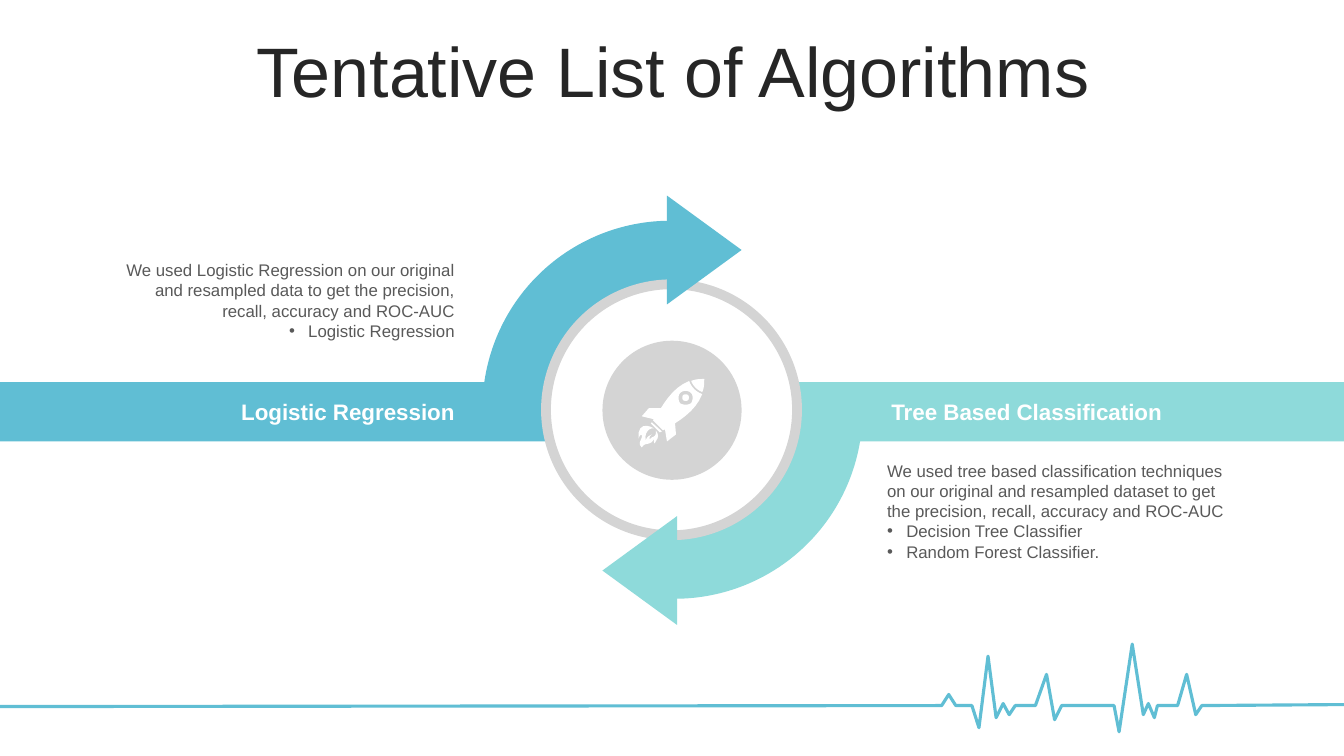
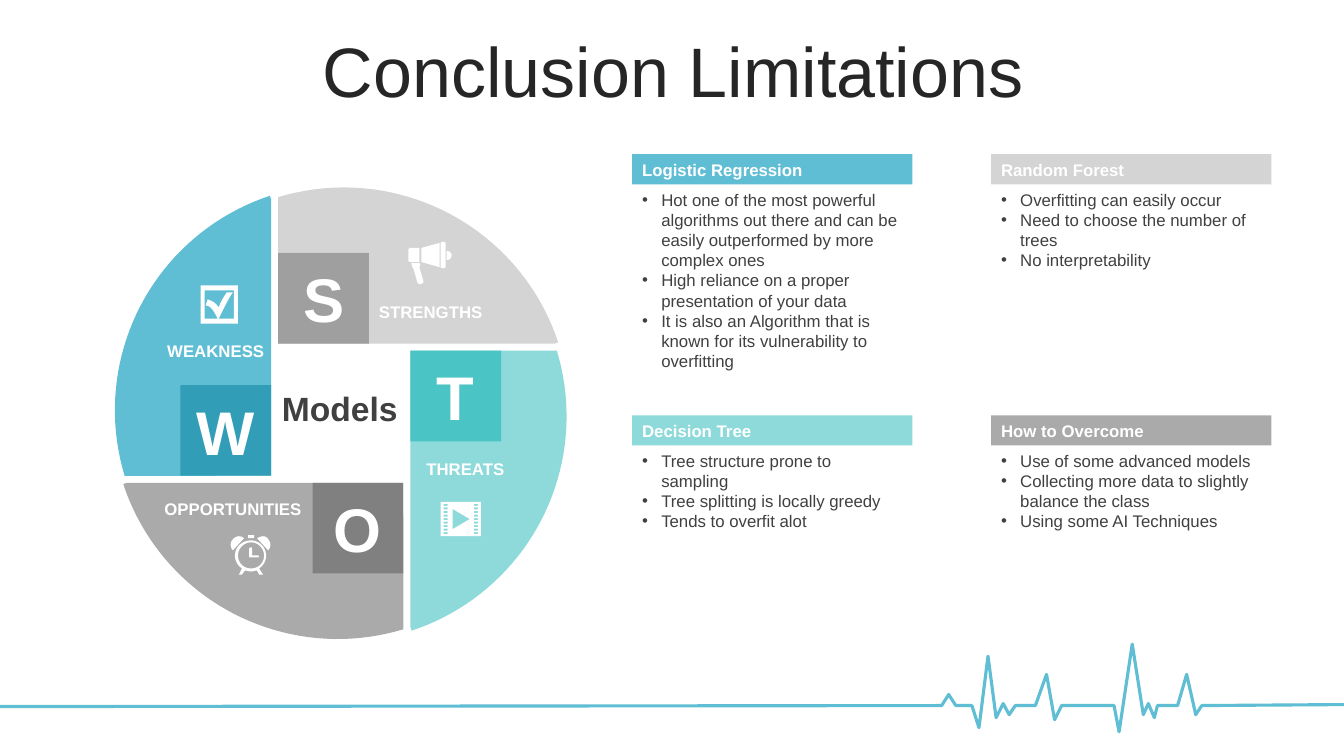
import math
from pptx import Presentation, util as u
from pptx.dml.color import RGBColor
from pptx.enum import shapes, text
from lxml import etree

FONT = "Arial"
BLUE, MINT, SILVER, GRAY = "60BED4", "8EDADA", "D4D4D4", "AAAAAA"
WHITE, INK, BODY, DARK = "FFFFFF", "262626", "595959", "404040"
LEFT, CENTER, RIGHT = text.PP_ALIGN.LEFT, text.PP_ALIGN.CENTER, text.PP_ALIGN.RIGHT
MSO = shapes.MSO_SHAPE
NS = "{http://schemas.openxmlformats.org/drawingml/2006/main}"
W, H = 13.33, 7.5

PULSE = [(13.33, 6.99), (11.92, 7), (11.86, 7.09), (11.77, 6.69), (11.68, 7),
         (11.48, 7), (11.45, 7.12), (11.39, 6.98), (11.34, 7.09), (11.23, 6.39),
         (11.1, 7.26), (11.05, 7), (10.53, 7), (10.46, 7.14), (10.38, 6.69),
         (10.27, 7), (10.07, 7), (10.01, 7.09), (9.95, 6.98), (9.88, 7.12),
         (9.8, 6.51), (9.71, 7.22), (9.64, 7), (9.48, 7), (9.41, 6.89),
         (9.34, 7), (0, 7.01)]

ROCKET = """M 17 49 C 13 48 7 53 9 61 C 10 57 13 56 15 55 C 14 56 12 57 13 60
C 15 56 20 59 19 51 C 24 58 19 60 18 64 C 16 63 18 59 17 60 C 13 67 8 62 5 68
C 0 63 6 60 5 56 C 5 55 3 55 2 59 C 0 44 11 45 17 49
M 15 43 L 25 52 L 23 53 L 14 44
M 51 16 C 52 17 52 20 51 21 C 50 22 47 22 46 21 C 45 20 45 17 46 16 C 47 15 50 15 51 16
M 54 14 C 51 11 46 11 43 14 C 41 16 41 21 43 24 C 46 26 51 26 54 24 C 56 21 56 16 54 14
M 52 2 C 54 8 59 13 65 15 C 60 28 49 37 38 44 L 39 55 L 30 62 L 28 50 L 26 51
L 16 41 L 17 40 L 5 37 L 12 29 L 24 29 C 30 19 39 7 52 2
M 67 0 C 67 4 67 9 65 13 C 60 11 56 7 54 2 C 58 0 63 0 67 0"""

CLOCK = """M 20 12 C 21 12 21 13 21 14 L 21 20 L 27 20 C 28 20 28 22 27 22 L 20 22
C 19 22 18 22 18 21 L 18 14 C 18 13 19 12 20 12
M 20 7 C 13 7 7 13 7 20 C 7 28 13 33 20 33 C 27 33 33 28 33 20 C 33 13 27 7 20 7
M 20 5 C 28 5 35 12 35 20 C 35 26 32 30 28 33 L 32 39 L 28 39 L 26 35
C 24 35 22 36 20 36 C 18 36 16 35 14 35 L 11 39 L 8 39 L 11 33
C 7 30 4 26 4 20 C 4 12 11 5 20 5
M 8 1 C 10 1 12 2 13 3 L 2 15 C -1 12 -1 7 2 4 C 4 2 6 1 8 1
M 32 1 C 34 1 36 2 37 4 C 40 7 40 12 37 15 L 26 3 C 28 2 30 1 32 1
M 17 0 L 23 0 L 23 3 L 17 3"""

CHECK = """M 4 5 L 4 33 L 17 33 C 14 28 11 20 5 20 L 7 14 C 13 16 15 18 18 22
C 20 16 22 13 26 7 L 32 7 C 27 14 22 25 18 33 L 33 33 L 33 5
M 0 0 L 37 0 L 37 38 L 0 38"""

MEGAPHONE = """M 11 21 L 12 23 L 11 25 L 15 39 C 15 40 15 41 14 41 L 12 42
C 11 42 9 41 9 40 L 5 26 L 4 25 L 3 21
M 38 9 C 41 9 43 11 43 13 C 43 16 41 18 38 18
M 2 6 L 11 6 L 11 20 L 2 20 C 1 20 0 19 0 18 L 0 8 C 0 7 1 6 2 6
M 31 1 L 31 25 L 13 20 L 13 6
M 33 0 L 36 0 L 37 1 L 37 25 L 36 26 L 33 26 L 32 25 L 32 1"""

FILM = "M 0 0 L 40 0 L 40 34 L 0 34 M 12 7 L 12 27 L 29 17" + "".join(
    f" M {x} {y} L {x + 4} {y} L {x + 4} {y + 2} L {x} {y + 2}"
    for x in (3, 33) for y in [2 + 3.5 * i for i in range(9)])


def rgb(value):
    return RGBColor.from_string(value)


def paint(sp, fill, line=None, width=1):
    sp.shadow.inherit = False
    if fill:
        sp.fill.solid()
        sp.fill.fore_color.rgb = rgb(fill)
    else:
        sp.fill.background()
    if line:
        sp.line.color.rgb = rgb(line)
        sp.line.width = u.Pt(width)
    else:
        sp.line.fill.background()
    return sp


def shape(s, kind, box, fill, line=None, width=1, rotation=0):
    sp = s.shapes.add_shape(kind, *map(u.Inches, box))
    sp.rotation = rotation
    return paint(sp, fill, line, width)


def outline(s, contours, fill, line=None, width=1, close=True):
    loops = [[(u.Inches(x), u.Inches(y)) for x, y in c] for c in contours]
    fb = s.shapes.build_freeform(*loops[0][0], scale=1.0)
    for i, loop in enumerate(loops):
        if i:
            fb.move_to(*loop[0])
        fb.add_line_segments(loop[1:], close=close)
    return paint(fb.convert_to_shape(), fill, line, width)


def flatten(drawing, steps=6):
    contours, tokens = [], drawing.split()
    while tokens:
        count = 7 if tokens[0] == "C" else 3
        op, *nums = tokens[:count]
        tokens = tokens[count:]
        nums = list(map(float, nums))
        pts = list(zip(nums[::2], nums[1::2]))
        if op == "M":
            contours.append(pts)
        elif op == "L":
            contours[-1] += pts
        else:
            curve = [contours[-1][-1]] + pts
            for k in range(1, steps + 1):
                t = k / steps
                weights = [math.comb(3, i) * t ** i * (1 - t) ** (3 - i) for i in range(4)]
                contours[-1].append(tuple(sum(w * c[a] for w, c in zip(weights, curve))
                                          for a in (0, 1)))
    return contours


def icon(s, x, y, drawing):
    outline(s, [[(x + a / 100, y + b / 100) for a, b in c] for c in flatten(drawing)], WHITE)


def write(sp, items, size, color, bold=False, align=LEFT, anchor=text.MSO_ANCHOR.TOP):
    tf = sp.text_frame
    tf.word_wrap = True
    tf.auto_size = text.MSO_AUTO_SIZE.NONE
    tf.vertical_anchor = anchor
    for i, item in enumerate(items):
        p = tf.add_paragraph() if i else tf.paragraphs[0]
        p.alignment = align
        if item.startswith("•"):
            pPr = p._p.get_or_add_pPr()
            pPr.set("marL", str(u.Inches(0.19)))
            pPr.set("indent", str(-u.Inches(0.19)))
            etree.SubElement(pPr, NS + "buFont", typeface=FONT)
            etree.SubElement(pPr, NS + "buChar", char="•")
        r = p.add_run()
        r.text = item.lstrip("•")
        r.font.name, r.font.size, r.font.bold = FONT, u.Pt(size), bold
        r.font.color.rgb = rgb(color)
    return tf


def textbox(s, box, items, size, color, **style):
    return write(s.shapes.add_textbox(*map(u.Inches, box)), items, size, color, **style)


def setup_layout(prs):
    layout = prs.slide_layouts[5]
    title = layout.placeholders[0]
    title.left, title.top, title.width, title.height = map(u.Inches, (0.35, 0.37, 12.66, 0.79))
    return layout


def new_slide(prs, layout, heading):
    s = prs.slides.add_slide(layout)
    tf = write(s.shapes.title, [heading], 50, INK, align=CENTER, anchor=text.MSO_ANCHOR.MIDDLE)
    tf.paragraphs[0].line_spacing = 0.8
    return s


def band(s, box, label, fill, align, inset):
    sp = shape(s, MSO.RECTANGLE, box, fill)
    tf = write(sp, [label], 16, WHITE, bold=True, align=align, anchor=text.MSO_ANCHOR.MIDDLE)
    if align == RIGHT:
        tf.margin_right = u.Inches(inset)
    else:
        tf.margin_left = u.Inches(inset)


def cycle(s, cx, cy):
    for dx, dy, turn, fill in ((-1.88, -1.88, 0, BLUE), (-1.84, -1.86, 180, MINT)):
        pie = shape(s, MSO.PIE, (cx + dx, cy + dy, 3.73, 3.73), fill, rotation=turn)
        pie.adjustments[0], pie.adjustments[1] = 107.76, 162
    shape(s, MSO.OVAL, (cx - 1.25, cy - 1.25, 2.49, 2.49), WHITE, SILVER, 7)
    for dx, dy, turn, fill in ((-0.22, -1.96, 90, BLUE), (-0.86, 1.22, 270, MINT)):
        shape(s, MSO.ISOSCELES_TRIANGLE, (cx + dx, cy + dy, 1.08, 0.74), fill, rotation=turn)
    shape(s, MSO.OVAL, (cx - 0.69, cy - 0.69, 1.38, 1.38), SILVER)
    icon(s, cx - 0.35, cy - 0.31, ROCKET)


def swot(s, cx, cy):
    start, end = math.atan2(2.14, 0.65), math.atan2(0.69, -2.09)
    angles = [start + (end - start) * k / 40 for k in range(41)]
    quarter = [(-2.12, 0.69), (0.62, 0.69)] + [
        (-0.03 + 2.24 * math.cos(a), 2.24 * math.sin(a)) for a in angles]
    tile_x, tile_y, tile = 0.17, 1.14, 0.9
    parts = (
        ("O", GRAY, "808080", "OPPORTUNITIES", (-1.99, 0.8, 1.7), RIGHT, CLOCK, (-1.09, 1.21)),
        ("T", MINT, "4AC4C4", "THREATS", (0.75, 0.4, 1.55), LEFT, FILM, (0.99, 0.88)),
        ("S", SILVER, "9F9F9F", "STRENGTHS", (0.28, -1.16, 1.76), LEFT, MEGAPHONE, (0.67, -1.7)),
        ("W", BLUE, "319DB6", "WEAKNESS", (-2.29, -0.77, 1.63), RIGHT, CHECK, (-1.39, -1.27)))
    for letter, fill, accent, label, (lx, ly, lw), align, drawing, (ix, iy) in parts:
        outline(s, [[(cx + x, cy + y) for x, y in quarter]], fill)
        sp = shape(s, MSO.RECTANGLE,
                   (cx + tile_x - tile / 2, cy + tile_y - tile / 2, tile, tile), accent)
        tf = write(sp, [letter], 44, WHITE, bold=True, align=CENTER,
                   anchor=text.MSO_ANCHOR.MIDDLE)
        tf.margin_left = tf.margin_right = tf.margin_top = tf.margin_bottom = 0
        textbox(s, (cx + lx, cy + ly, lw, 0.3), [label], 12, WHITE, bold=True, align=align)
        icon(s, cx + ix, cy + iy, drawing)
        quarter = [(y, -x) for x, y in quarter]
        tile_x, tile_y = tile_y, -tile_x
    textbox(s, (cx - 0.76, cy - 0.3, 1.5, 0.5), ["Models"], 24, DARK, bold=True, align=CENTER)


def panel(s, box, heading, fill, points):
    x, y, w, h = box
    head = 0.3
    sp = shape(s, MSO.RECTANGLE, (x, y, w, head), fill)
    write(sp, [heading], 12, WHITE, bold=True, anchor=text.MSO_ANCHOR.MIDDLE)
    textbox(s, (x, y + head, w, h - head), ["•" + t for t in points], 12, DARK)


def algorithms(prs, layout):
    s = new_slide(prs, layout, "Tentative List of Algorithms")
    reach = 5.42
    band(s, (0, 3.79, reach, 0.59), "Logistic Regression", BLUE, RIGHT, 0.91)
    band(s, (W - reach, 3.79, reach, 0.59), "Tree Based Classification", MINT, LEFT, 0.93)
    cycle(s, W / 2, 4.07)
    textbox(s, (8.7, 4.52, 3.65, 1.11), [
        "We used tree based classification techniques on our original and resampled dataset "
        "to get the precision, recall, accuracy and ROC-AUC",
        "•Decision Tree Classifier", "•Random Forest Classifier."], 12, BODY)
    textbox(s, (0.96, 2.53, 3.65, 0.91), [
        "We used Logistic Regression on our original and resampled data to get the precision, "
        "recall, accuracy and ROC-AUC", "•Logistic Regression"], 12, BODY, align=RIGHT)
    return s


def limitations(prs, layout):
    s = new_slide(prs, layout, "Conclusion Limitations")
    swot(s, 3.38, 4.1)
    panels = (
        ("Logistic Regression", BLUE, [
            "Hot one of the most powerful algorithms out there and can be easily outperformed "
            "by more complex ones",
            "High reliance on a proper presentation of your data",
            "It is also an Algorithm that is known for its vulnerability to overfitting"]),
        ("Random Forest", SILVER, [
            "Overfitting can easily occur", "Need to choose the number of trees",
            "No interpretability"]),
        ("Decision Tree", MINT, [
            "Tree structure prone to sampling", "Tree splitting is locally greedy",
            "Tends to overfit alot"]),
        ("How to Overcome", GRAY, [
            "Use of some advanced models",
            "Collecting more data to slightly balance the class",
            "Using some AI Techniques"]))
    for i, (heading, fill, points) in enumerate(panels):
        row, col = divmod(i, 2)
        panel(s, (6.27 + 3.56 * col, 1.53 + 2.59 * row, 2.78, 2.22), heading, fill, points)


def main():
    prs = Presentation()
    prs.slide_width, prs.slide_height = u.Inches(W), u.Inches(H)
    layout = setup_layout(prs)
    s = algorithms(prs, layout)
    pulse = outline(s, [PULSE], None, BLUE, 2.25, close=False)
    layout.shapes.element.append(pulse.element)
    limitations(prs, layout)
    prs.save("out.pptx")


if __name__ == "__main__":
    main()
